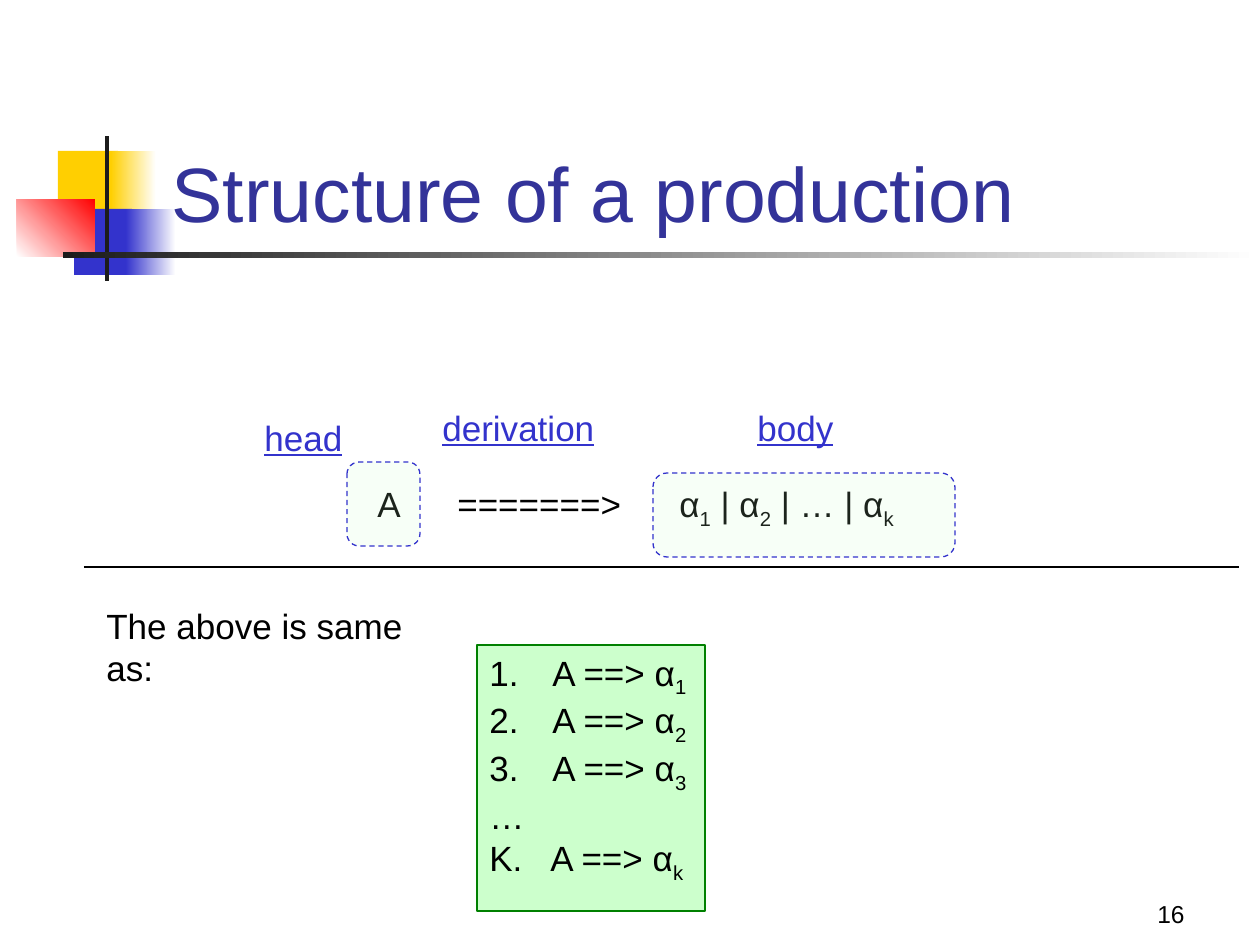
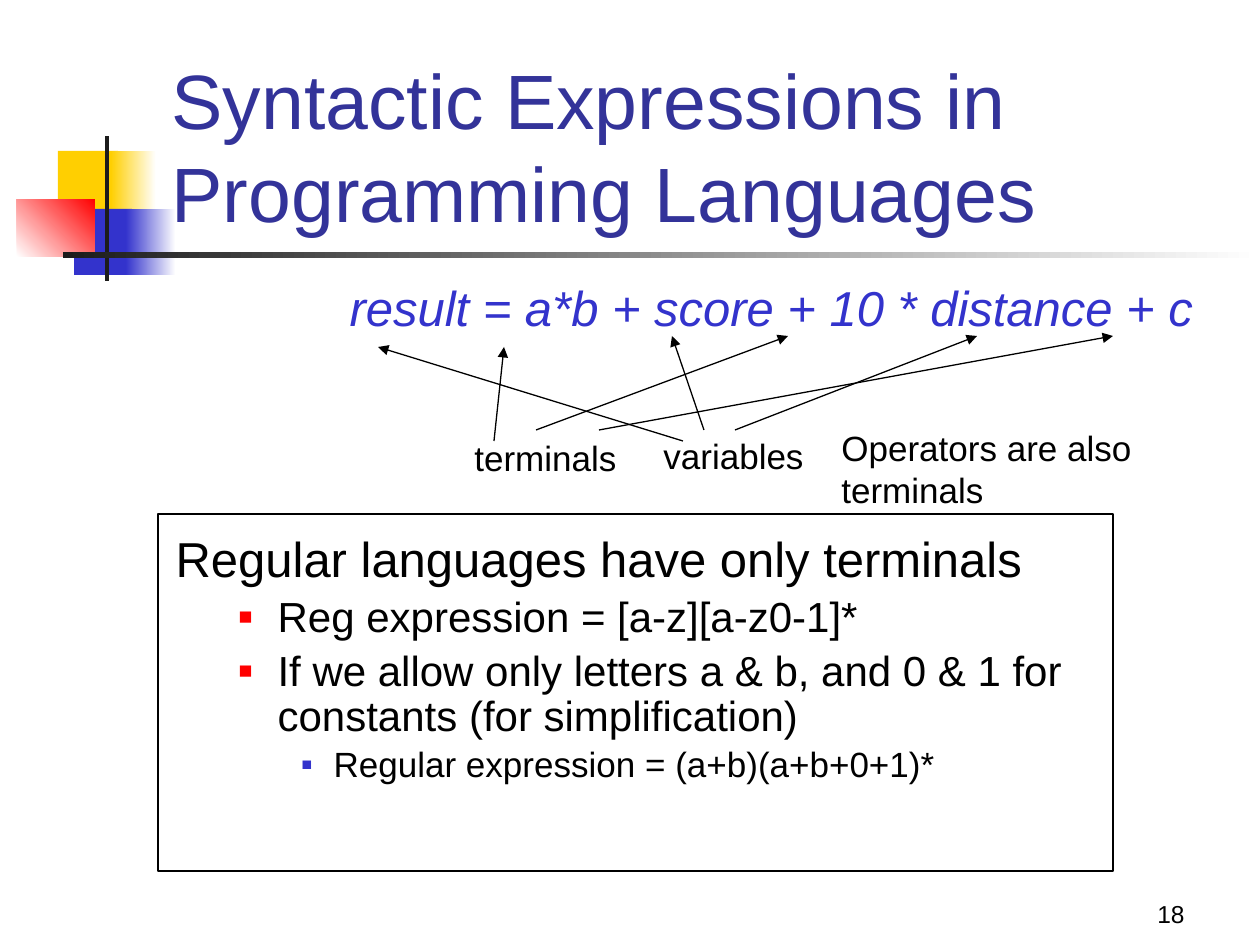
from dataclasses import dataclass

from lxml.etree import SubElement
from pptx import Presentation
from pptx.dml.color import RGBColor
from pptx.enum.dml import MSO_LINE_DASH_STYLE as Dash
from pptx.enum.shapes import MSO_CONNECTOR as Connector, MSO_SHAPE as Preset
from pptx.enum.text import MSO_ANCHOR as Anchor, MSO_AUTO_SIZE as AutoSize, PP_ALIGN as Align
from pptx.oxml.ns import qn
from pptx.util import Inches, Pt


@dataclass(frozen=True)
class Theme:
    font: str = "Arial"
    black: str = "000000"
    white: str = "FFFFFF"
    ink: str = "1C1C1C"
    navy: str = "333399"
    blue: str = "3333CC"
    yellow: str = "FFCF01"
    red: str = "FF0000"
    mint: str = "CCFFCC"
    green: str = "008000"
    title: int = 44
    lead: int = 28
    item: int = 24
    text: int = 20
    number: int = 14
    hairline: float = 0.75


theme = Theme()
PX = Inches(1) / 126


def emu(*lengths):
    """Turn px lengths into EMU."""
    return [round(length * PX) for length in lengths]


def write(paragraph, runs, size=theme.text, color=theme.black, underline=None, italic=None):
    """Add runs to a paragraph; every second run is a subscript."""
    for index, text in enumerate(runs):
        run = paragraph.add_run()
        run.text = text
        run.font.name = theme.font
        run.font.size = Pt(size)
        run.font.color.rgb = RGBColor.from_string(color)
        run.font.underline = underline
        run.font.italic = italic
        if index % 2:
            run.font._element.set("baseline", "-25000")


presentation = Presentation()
presentation.slide_width, presentation.slide_height = emu(1260, 945)
layouts = presentation.slide_layouts
production = presentation.slides.add_slide(layouts[5])
expressions = presentation.slides.add_slide(layouts[1])

# Coloured blocks and bars, shared through the slide master
ornaments = [
    ((58, 151, 60, 66), [theme.yellow], 0),
    ((111, 151, 45, 66), [theme.yellow, theme.white], 0),
    ((74, 209, 58, 66), [theme.blue], 0),
    ((126, 209, 50, 66), [theme.blue, theme.white], 0),
    ((17, 199, 78, 58), [theme.white, theme.red], 45),
    ((105, 136, 4, 145), [theme.ink], 0),
    ((63, 252, 1197, 6), [theme.ink, theme.white], 0),
]
master_tree = presentation.slide_master.shapes._spTree
for number, (at, colors, angle) in enumerate(ornaments, start=20):
    shape = production.shapes.add_shape(Preset.RECTANGLE, *emu(*at))
    shape.shadow.inherit = False
    shape.line.fill.background()
    if len(colors) == 1:
        shape.fill.solid()
        shape.fill.fore_color.rgb = RGBColor.from_string(colors[0])
    else:
        shape.fill.gradient()
        shape.fill.gradient_angle = angle
        for stop, color in zip(shape.fill.gradient_stops, colors):
            stop.color.rgb = RGBColor.from_string(color)
    shape._element.nvSpPr.cNvPr.set("id", str(number))
    master_tree.append(shape._element)

# Titles and slide numbers
for slide, title_text, page in [
    (production, "Structure of a production", "16"),
    (expressions, "Syntactic Expressions in Programming Languages", "18"),
]:
    title = slide.shapes.title
    title.left, title.top, title.width, title.height = emu(159, 86, 1074, 158)
    title.text_frame.auto_size = AutoSize.NONE
    title.text_frame.vertical_anchor = Anchor.BOTTOM
    paragraph = title.text_frame.paragraphs[0]
    paragraph.alignment = Align.LEFT
    write(paragraph, [title_text], theme.title, theme.navy)

    page_box = slide.shapes.add_textbox(*emu(935, 872, 262, 63))
    page_box.text_frame.word_wrap = True
    page_box.text_frame.vertical_anchor = Anchor.BOTTOM
    paragraph = page_box.text_frame.paragraphs[0]
    paragraph.alignment = Align.RIGHT
    write(paragraph, [page], theme.number)

# Labels, one entry in the list of lines per paragraph
labels = [
    (production, (252, 410, 120, 54), ["head"], theme.blue),
    (production, (430, 400, 190, 54), ["derivation"], theme.blue),
    (production, (745, 400, 120, 54), ["body"], theme.blue),
    (production, (94, 598, 350, 96), ["The above is same as:"], theme.black),
    (expressions, (462, 430, 180, 54), ["terminals"], theme.black),
    (expressions, (651, 428, 180, 54), ["variables"], theme.black),
    (expressions, (829, 420, 340, 97), ["Operators are also", "terminals"], theme.black),
]
for slide, at, lines, color in labels:
    frame = slide.shapes.add_textbox(*emu(*at)).text_frame
    frame.word_wrap = True
    for index, line in enumerate(lines):
        paragraph = frame.add_paragraph() if index else frame.paragraphs[0]
        write(paragraph, [line], color=color, underline=color == theme.blue)

# The production rule, set on two tab stops
rule = production.shapes.add_textbox(*emu(365, 476, 590, 54)).text_frame
rule.word_wrap = True
paragraph = rule.paragraphs[0]
tabs = SubElement(paragraph._p.get_or_add_pPr(), qn("a:tabLst"))
for position in emu(80, 302):
    SubElement(tabs, qn("a:tab"), pos=str(position), algn="l")
write(paragraph, ["A\t=======>\tα", "1", " | α", "2", " | … | α", "k"])

# Head and body outlines, the list panel and the frame around the rules
panels = [
    (production, Preset.ROUNDED_RECTANGLE, (347, 462, 73, 84), theme.mint, theme.blue),
    (production, Preset.ROUNDED_RECTANGLE, (653, 473, 302, 84), theme.mint, theme.blue),
    (expressions, Preset.RECTANGLE, (158, 514, 955, 357), None, theme.black),
    (production, Preset.RECTANGLE, (477, 645, 228, 266), theme.mint, theme.green),
]
for slide, preset, at, fill, outline in panels:
    panel = slide.shapes.add_shape(preset, *emu(*at))
    panel.shadow.inherit = False
    panel.line.color.rgb = RGBColor.from_string(outline)
    panel.line.width = Pt(theme.hairline)
    if fill:
        panel.fill.solid()
        panel.fill.fore_color.rgb = RGBColor.from_string(fill)
    else:
        panel.fill.background()
    if preset == Preset.ROUNDED_RECTANGLE:
        panel.line.dash_style = Dash.DASH
        tint = panel._element.spPr.find(qn("a:solidFill")).find(qn("a:srgbClr"))
        SubElement(tint, qn("a:alpha"), val="14000")

# Separate productions inside the green panel
frame = panel.text_frame
frame.word_wrap = True
frame.vertical_anchor = Anchor.TOP
alternatives = [
    (["A ==> α", "1"], True, 63),
    (["A ==> α", "2"], True, 63),
    (["A ==> α", "3"], True, 63),
    (["…"], False, 63),
    (["K.\tA ==> α", "k"], False, 61),
]
for index, (runs, numbered, hang) in enumerate(alternatives):
    paragraph = frame.add_paragraph() if index else frame.paragraphs[0]
    paragraph.alignment = Align.LEFT
    properties = paragraph._p.get_or_add_pPr()
    margin, = emu(hang)
    properties.set("marL", str(margin))
    properties.set("indent", str(-margin))
    if numbered:
        SubElement(properties, qn("a:buFont"), typeface=theme.font)
        SubElement(properties, qn("a:buAutoNum"), type="arabicPeriod")
    write(paragraph, runs)

# Formula and rules: text, level, margin, hang, space before, size, colour, bullet
body = expressions.placeholders[1]
body.left, body.top, body.width, body.height = emu(163, 278, 1071, 567)
frame = body.text_frame
frame.auto_size = AutoSize.NONE
frame.vertical_anchor = Anchor.TOP
red_bullet, blue_bullet = (theme.red, 55), (theme.blue, 50)
body_lines = [
    ("result = a*b + score + 10 * distance + c", 0, 174, 0, 0, theme.lead, theme.blue, None),
    ("Regular languages have only terminals", 0, 48, 48, 113, theme.lead, theme.black, None),
    ("Reg expression = [a-z][a-z0-1]*", 1, 102, 39, 4.8, theme.item, theme.black, red_bullet),
    ("If we allow only letters a & b, and 0 & 1 for constants (for simplification)",
     1, 102, 39, 4.8, theme.item, theme.black, red_bullet),
    ("Regular expression = (a+b)(a+b+0+1)*", 2, 158, 32, 4, theme.text, theme.black, blue_bullet),
]
for index, (text, level, margin, hang, before, size, color, bullet) in enumerate(body_lines):
    paragraph = frame.add_paragraph() if index else frame.paragraphs[0]
    properties = paragraph._p.get_or_add_pPr()
    left, indent = emu(margin, -hang)
    properties.set("marL", str(left))
    properties.set("indent", str(indent))
    if bullet:
        bullet_color, percent = bullet
        SubElement(SubElement(properties, qn("a:buClr")), qn("a:srgbClr"), val=bullet_color)
        SubElement(properties, qn("a:buSzPct"), val=str(percent * 1000))
        SubElement(properties, qn("a:buFont"), typeface=theme.font)
        SubElement(properties, qn("a:buChar"), char="■")
    else:
        SubElement(properties, qn("a:buNone"))
    paragraph.level = level
    paragraph.line_spacing = 0.9
    paragraph.space_before = Pt(before)
    write(paragraph, [text], size, color, italic=index == 0)

# Divider, and arrows from the labels to the parts of the formula
lines = [
    (production, (84, 567, 1239, 567), False),
    (expressions, (494, 441, 504, 347), True),
    (expressions, (536, 430, 788, 336), True),
    (expressions, (599, 430, 1113, 336), True),
    (expressions, (704, 430, 672, 336), True),
    (expressions, (683, 441, 378, 347), True),
    (expressions, (735, 430, 977, 336), True),
]
for slide, ends, has_arrow in lines:
    connector = slide.shapes.add_connector(Connector.STRAIGHT, *emu(*ends))
    connector.line.color.rgb = RGBColor.from_string(theme.black)
    connector.line.width = Pt(theme.hairline)
    if has_arrow:
        SubElement(connector.line._get_or_add_ln(), qn("a:tailEnd"), type="triangle")
    SubElement(connector._element.spPr, qn("a:effectLst"))

presentation.save("out.pptx")
